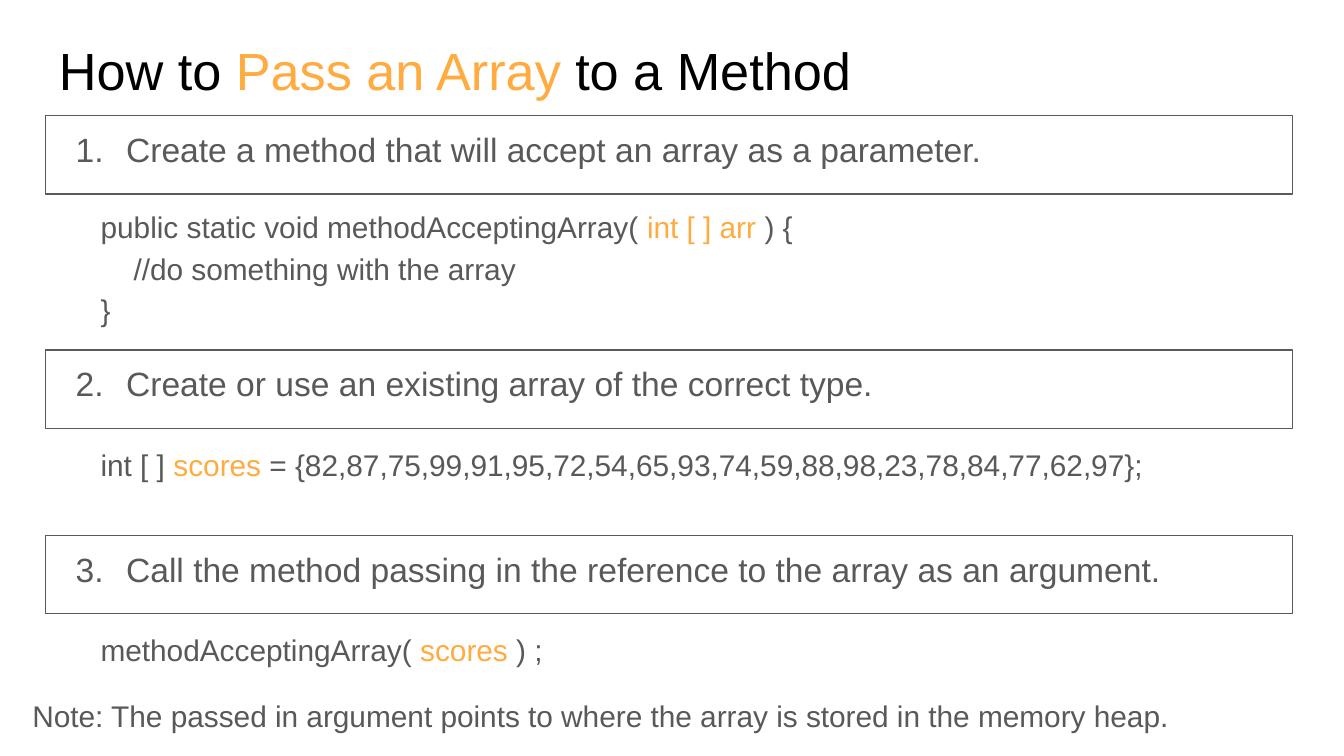
from dataclasses import dataclass

from lxml import etree
from pptx import Presentation
from pptx.dml.color import RGBColor
from pptx.enum import shapes, text
from pptx.oxml import ns
from pptx.util import Pt


@dataclass(frozen=True)
class Theme:
    font: str = "Arial"
    black: str = "000000"
    grey: str = "595959"
    orange: str = "FFAB40"
    title_size: float = 28
    step_size: float = 18
    code_size: float = 16


theme = Theme()
deck = Presentation()
deck.slide_width, deck.slide_height = Pt(720), Pt(405)
slide = deck.slides.add_slide(deck.slide_layouts[6])


def write(lines, box, *, size=theme.code_size, color=theme.grey,
          spacing=1.0, number=None, framed=False, inset_top=7.2):
    """Each line is a tuple of runs: every second run is in the accent colour."""
    bounds = [Pt(length) for length in box]
    if framed:
        holder = slide.shapes.add_shape(shapes.MSO_SHAPE.RECTANGLE, *bounds)
        holder.shadow.inherit = False
        holder.fill.background()
        holder.line.color.rgb = RGBColor.from_string(theme.grey)
        holder.line.width = Pt(0.75)
    else:
        holder = slide.shapes.add_textbox(*bounds)
    frame = holder.text_frame
    frame.word_wrap = True
    frame.vertical_anchor = text.MSO_ANCHOR.TOP
    frame.margin_left = frame.margin_right = frame.margin_bottom = Pt(7.2)
    frame.margin_top = Pt(inset_top)
    for i, runs in enumerate(lines):
        paragraph = frame.add_paragraph() if i else frame.paragraphs[0]
        paragraph.alignment = text.PP_ALIGN.LEFT
        paragraph.line_spacing = spacing
        if number:
            props = paragraph._p.get_or_add_pPr()
            props.set("marL", str(Pt(36)))
            props.set("indent", str(-Pt(27)))
            bullet_color = etree.SubElement(props, ns.qn("a:buClr"))
            etree.SubElement(bullet_color, ns.qn("a:srgbClr"), val=theme.grey)
            etree.SubElement(props, ns.qn("a:buFont"), typeface=theme.font)
            etree.SubElement(props, ns.qn("a:buAutoNum"),
                             type="arabicPeriod", startAt=str(number))
        for j, words in enumerate(runs):
            run = paragraph.add_run()
            run.text = words
            run.font.name = theme.font
            run.font.size = Pt(size)
            run.font.color.rgb = RGBColor.from_string(theme.orange if j % 2 else color)


write([("How to ", "Pass an Array", " to a Method")], (24.5, 11, 671, 45.5),
      size=theme.title_size, color=theme.black, inset_top=9.5)

# Step text, its top, then the code lines with their top, width, height and spacing
steps = [
    ("Create a method that will accept an array as a parameter.", 62,
     [("public static void methodAcceptingArray( ", "int [ ] arr", " ) {"),
      ("    //do something with the array",),
      ("}",)],
     102, 525, 88, 1.15),
    ("Create or use an existing array of the correct type.", 187.5,
     [("int [ ] ", "scores",
       " = {82,87,75,99,91,95,72,54,65,93,74,59,88,98,23,78,84,77,62,97};")],
     232, 646, 45.5, 1.0),
    ("Call the method passing in the reference to the array as an argument.", 286.75,
     [("methodAcceptingArray( ", "scores", " ) ;")],
     331, 525, 45.5, 1.0),
]
for number, (step, step_top, code, top, width, height, spacing) in enumerate(steps, 1):
    write([(step,)], (24.5, step_top, 668, 42), size=theme.step_size,
          number=number, framed=True)
    write(code, (46.8, top, width, height), spacing=spacing)

write([("Note: The passed in argument points to where the array is stored "
        "in the memory heap.",)], (10.3, 366.5, 703.5, 32.5))

deck.save("out.pptx")
